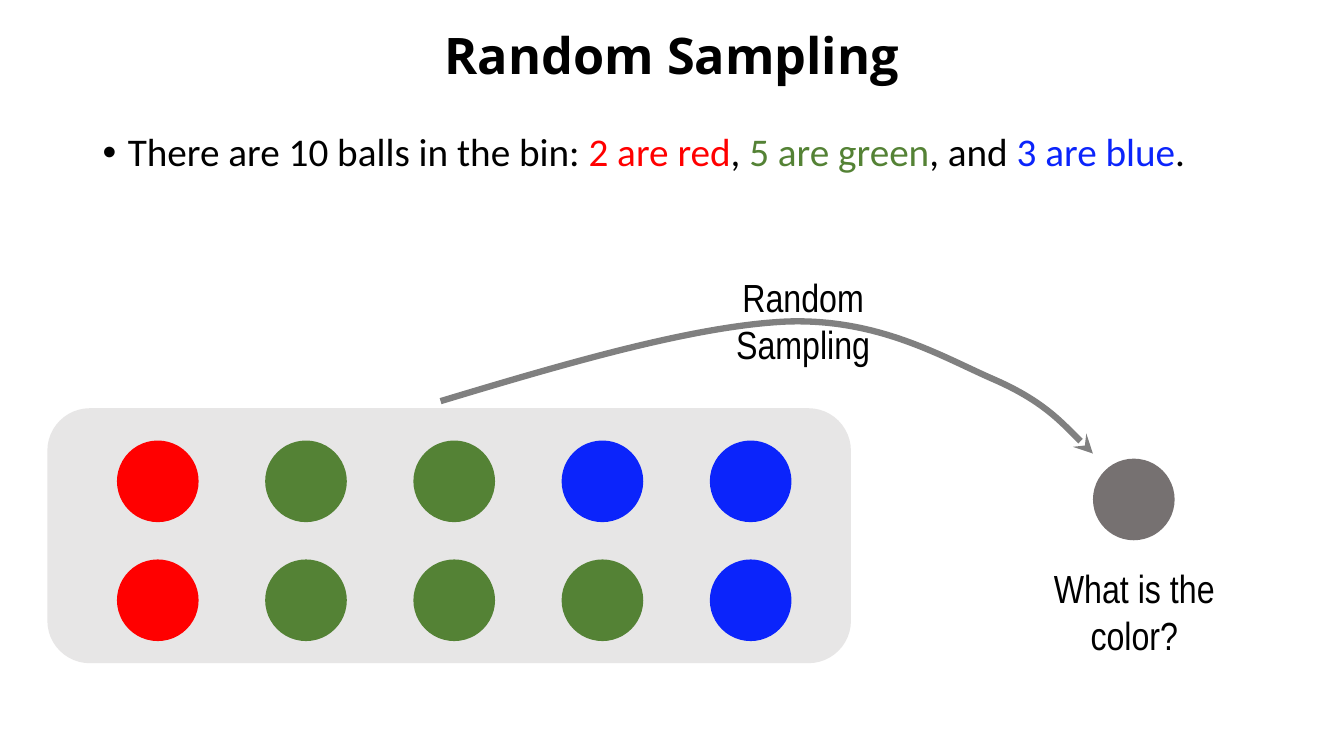
from lxml import etree
from pptx import Presentation
from pptx.dml.color import RGBColor
from pptx.enum.shapes import MSO_SHAPE
from pptx.enum.text import MSO_ANCHOR, PP_ALIGN
from pptx.oxml.ns import qn
from pptx.util import Inches, Pt

BLACK = RGBColor(0x00, 0x00, 0x00)
RED = RGBColor(0xFF, 0x00, 0x00)
GREEN = RGBColor(0x54, 0x82, 0x35)
BLUE = RGBColor(0x0B, 0x24, 0xFB)
BIN_GRAY = RGBColor(0xE7, 0xE6, 0xE6)
BALL_GRAY = RGBColor(0x76, 0x71, 0x71)
ARROW_GRAY = RGBColor(0x80, 0x80, 0x80)

BALL_SIZE = 0.81
BALL_LEFT, BALL_TOP = 1.16, 4.37
COLUMN_STEP, ROW_STEP = 1.47, 1.18
BALL_ROWS = [
    [RED, GREEN, GREEN, BLUE, BLUE],
    [RED, GREEN, GREEN, GREEN, BLUE],
]
ARROW_START = (4.37, 3.98)
# Two control points and an end point for each Bézier segment
ARROW_POINTS = [
    (5.63, 3.6), (6.9, 3.23), (7.81, 3.19),
    (8.73, 3.16), (9.36, 3.55), (9.87, 3.77),
    (10.37, 3.99), (10.84, 4.5), (10.84, 4.5),
]


class SlideBuilder:
    def __init__(self, slide):
        self.slide = slide

    def text(self, left, top, width, height, runs, font, size,
             bold=False, align=PP_ALIGN.CENTER, anchor=MSO_ANCHOR.TOP,
             line_spacing=None, bullet=False):
        box = self.slide.shapes.add_textbox(
            Inches(left), Inches(top), Inches(width), Inches(height))
        frame = box.text_frame
        frame.word_wrap = True
        frame.vertical_anchor = anchor
        paragraph = frame.paragraphs[0]
        paragraph.alignment = align
        if line_spacing:
            paragraph.line_spacing = line_spacing
        if bullet:
            properties = paragraph._p.get_or_add_pPr()
            properties.set("marL", str(Inches(0.25)))
            properties.set("indent", str(Inches(-0.25)))
            etree.SubElement(properties, qn("a:buFont")).set("typeface", "Arial")
            etree.SubElement(properties, qn("a:buChar")).set("char", "•")
        paragraph.font.name = font
        paragraph.font.size = Pt(size)
        paragraph.font.bold = bold
        paragraph.font.color.rgb = BLACK
        for words, color in runs:
            run = paragraph.add_run()
            run.text = words
            if color != BLACK:
                run.font.color.rgb = color

    def shape(self, kind, left, top, width, height, color):
        shape = self.slide.shapes.add_shape(
            kind, Inches(left), Inches(top), Inches(width), Inches(height))
        shape.shadow.inherit = False
        shape.fill.solid()
        shape.fill.fore_color.rgb = color
        shape.line.fill.background()

    def ball(self, left, top, color):
        self.shape(MSO_SHAPE.OVAL, left, top, BALL_SIZE, BALL_SIZE, color)

    def curved_arrow(self, start, points, color, width):
        builder = self.slide.shapes.build_freeform(
            Inches(start[0]), Inches(start[1]))
        builder.add_line_segments(
            [(Inches(x), Inches(y)) for x, y in points], close=False)
        shape = builder.convert_to_shape()
        shape.shadow.inherit = False
        shape.fill.background()
        shape.line.color.rgb = color
        shape.line.width = Pt(width)
        # Turn every three straight steps into one cubic curve
        outline = shape._element.spPr.find(".//" + qn("a:path"))
        steps = outline.findall(qn("a:lnTo"))
        for first in range(0, len(steps), 3):
            curve = etree.SubElement(outline, qn("a:cubicBezTo"))
            for step in steps[first:first + 3]:
                curve.append(step[0])
                outline.remove(step)
        line = shape.line._get_or_add_ln()
        etree.SubElement(line, qn("a:tailEnd")).set("type", "stealth")


def main():
    presentation = Presentation()
    presentation.slide_width = Inches(13.33)
    presentation.slide_height = Inches(7.5)
    slide = presentation.slides.add_slide(presentation.slide_layouts[6])
    builder = SlideBuilder(slide)

    # Title and statement
    builder.text(0.92, 1.27, 11.5, 2.52, [
        ("There are 10 balls in the bin: ", BLACK),
        ("2 are red", RED), (", ", BLACK),
        ("5 are green", GREEN), (", and ", BLACK),
        ("3 are blue", BLUE), (".", BLACK),
    ], "Calibri", 28, align=PP_ALIGN.LEFT, line_spacing=0.9, bullet=True)
    builder.text(0, 0.01, 13.33, 1.13, [("Random Sampling", BLACK)],
                 "Open Sans", 36, bold=True, anchor=MSO_ANCHOR.MIDDLE,
                 line_spacing=0.9)

    # Bin with its balls
    builder.shape(MSO_SHAPE.ROUNDED_RECTANGLE, 0.47, 4.05, 7.97, 2.53, BIN_GRAY)
    for row, colors in enumerate(BALL_ROWS):
        for column, color in enumerate(colors):
            builder.ball(BALL_LEFT + column * COLUMN_STEP,
                         BALL_TOP + row * ROW_STEP, color)

    # Sampled ball
    builder.ball(10.84, 4.55, BALL_GRAY)
    builder.curved_arrow(ARROW_START, ARROW_POINTS, ARROW_GRAY, 4.5)
    builder.text(6.64, 2.66, 2.65, 0.59, [("Random Sampling", BLACK)],
                 "Arial Narrow", 28)
    builder.text(9.98, 5.55, 2.54, 0.57, [("What is the color?", BLACK)],
                 "Arial Narrow", 28)

    presentation.save("out.pptx")


if __name__ == "__main__":
    main()
